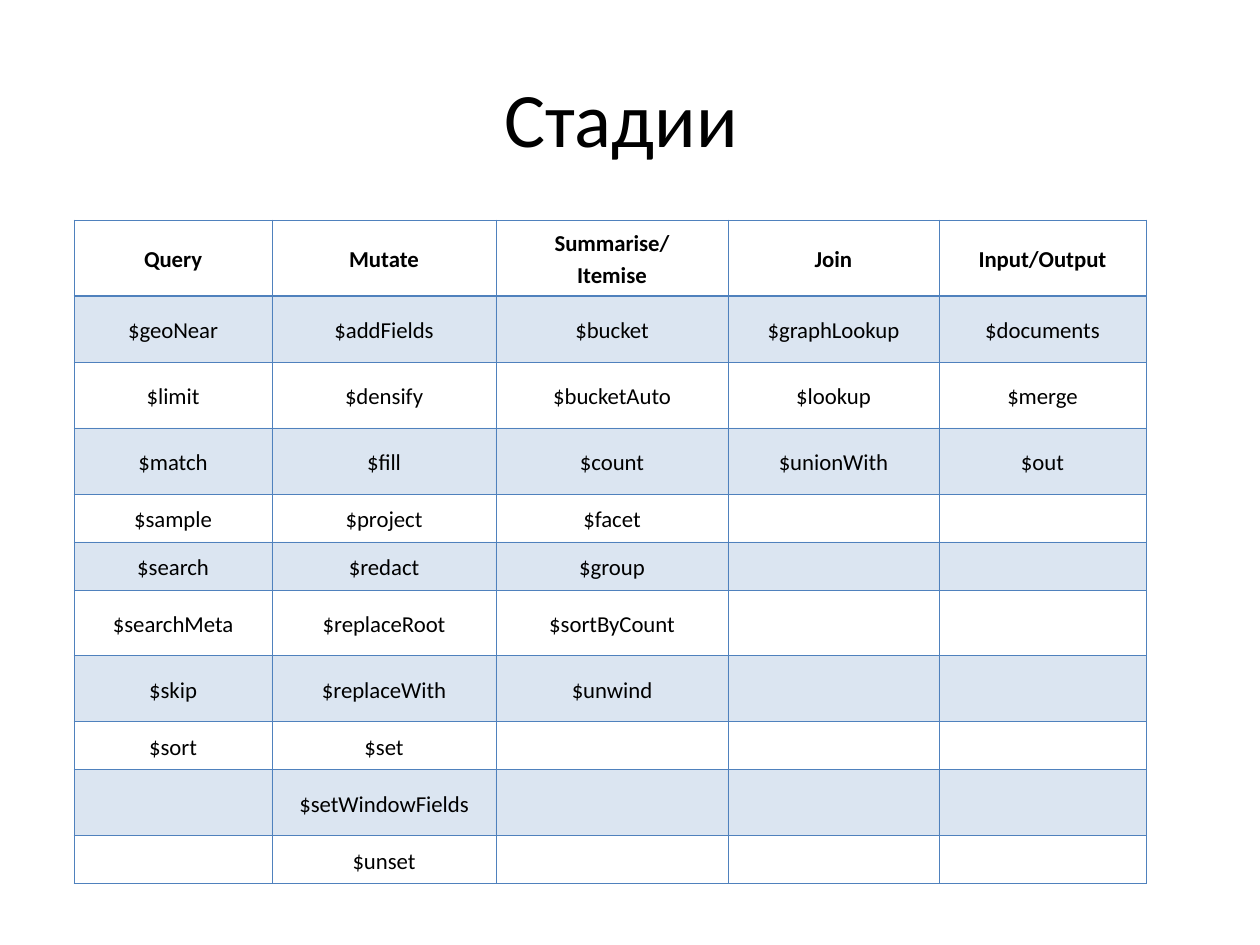
from dataclasses import dataclass

from lxml.etree import SubElement
from pptx import Presentation
from pptx.dml.color import RGBColor
from pptx.enum.text import MSO_ANCHOR, PP_ALIGN
from pptx.oxml.ns import qn
from pptx.util import Emu, Pt

SCALE = 914400 // 126
BLUE = "4F81BD"
BLACK = "000000"
FONT = "Calibri"
TALL, SHORT = 66, 48


@dataclass
class Column:
    head: str
    width: int
    stages: list[str]


COLUMNS = [
    Column("Query", 198, [
        "$geoNear", "$limit", "$match", "$sample", "$search",
        "$searchMeta", "$skip", "$sort"]),
    Column("Mutate", 224, [
        "$addFields", "$densify", "$fill", "$project", "$redact",
        "$replaceRoot", "$replaceWith", "$set", "$setWindowFields", "$unset"]),
    Column("Summarise/\vItemise", 232, [
        "$bucket", "$bucketAuto", "$count", "$facet", "$group",
        "$sortByCount", "$unwind"]),
    Column("Join", 211, ["$graphLookup", "$lookup", "$unionWith"]),
    Column("Input/Output", 207, ["$documents", "$merge", "$out"]),
]
HEIGHTS = [76, TALL, TALL, TALL, SHORT, SHORT, TALL, TALL, SHORT, TALL, SHORT]


def px(count: int) -> Emu:
    return Emu(count * SCALE)


def color(value: str) -> RGBColor:
    return RGBColor.from_string(value)


def style(para, size: int, bold: bool = False) -> None:
    para.alignment = PP_ALIGN.CENTER
    for run in para.runs:
        run.font.name = FONT
        run.font.size = Pt(size)
        run.font.bold = bold
        run.font.color.rgb = color(BLACK)


def shade(cell, band: bool) -> None:
    if not band:
        cell.fill.background()
        return
    cell.fill.solid()
    cell.fill.fore_color.rgb = color(BLUE)
    tint = cell._tc.tcPr.find(".//" + qn("a:srgbClr"))
    SubElement(tint, qn("a:alpha"), val="20000")


def border(cell, row: int) -> None:
    props = cell._tc.get_or_add_tcPr()
    for spot, side in enumerate(("lnL", "lnR", "lnT", "lnB")):
        thick = (row, side) in ((0, "lnB"), (1, "lnT"))
        line = SubElement(props, qn(f"a:{side}"), w=str(Pt(0.96 if thick else 0.45)))
        fill = SubElement(line, qn("a:solidFill"))
        SubElement(fill, qn("a:srgbClr"), val=BLUE)
        props.insert(spot, line)


def write(cell, text: str, head: bool) -> None:
    cell.vertical_anchor = MSO_ANCHOR.MIDDLE
    cell.margin_left = cell.margin_right = px(24)
    cell.margin_top = cell.margin_bottom = px(6) if text else 0
    if text:
        cell.text_frame.text = text
        para = cell.text_frame.paragraphs[0]
        para.line_spacing = 1.15
        para.space_after = Pt(8)
        style(para, 13, head)


def title(slide, text: str) -> None:
    box = slide.shapes.add_textbox(px(63), px(38), px(1134), px(157))
    frame = box.text_frame
    frame.word_wrap = True
    frame.vertical_anchor = MSO_ANCHOR.MIDDLE
    frame.text = text
    style(frame.paragraphs[0], 44)


def grid(slide, columns: list[Column], heights: list[int]) -> None:
    width = sum(column.width for column in columns)
    table = slide.shapes.add_table(
        len(heights), len(columns), px(74), px(220), px(width), px(sum(heights))).table
    table.first_row = False
    table.horz_banding = False
    for row, height in enumerate(heights):
        table.rows[row].height = px(height)
    for col, column in enumerate(columns):
        table.columns[col].width = px(column.width)
        texts = [column.head, *column.stages]
        for row in range(len(heights)):
            cell = table.cell(row, col)
            write(cell, texts[row] if row < len(texts) else "", row == 0)
            shade(cell, row % 2 == 1)
            border(cell, row)


def main() -> None:
    deck = Presentation()
    deck.slide_width, deck.slide_height = px(1260), px(945)
    slide = deck.slides.add_slide(deck.slide_layouts[6])
    title(slide, "Стадии ")
    grid(slide, COLUMNS, HEIGHTS)
    deck.save("out.pptx")


if __name__ == "__main__":
    main()
